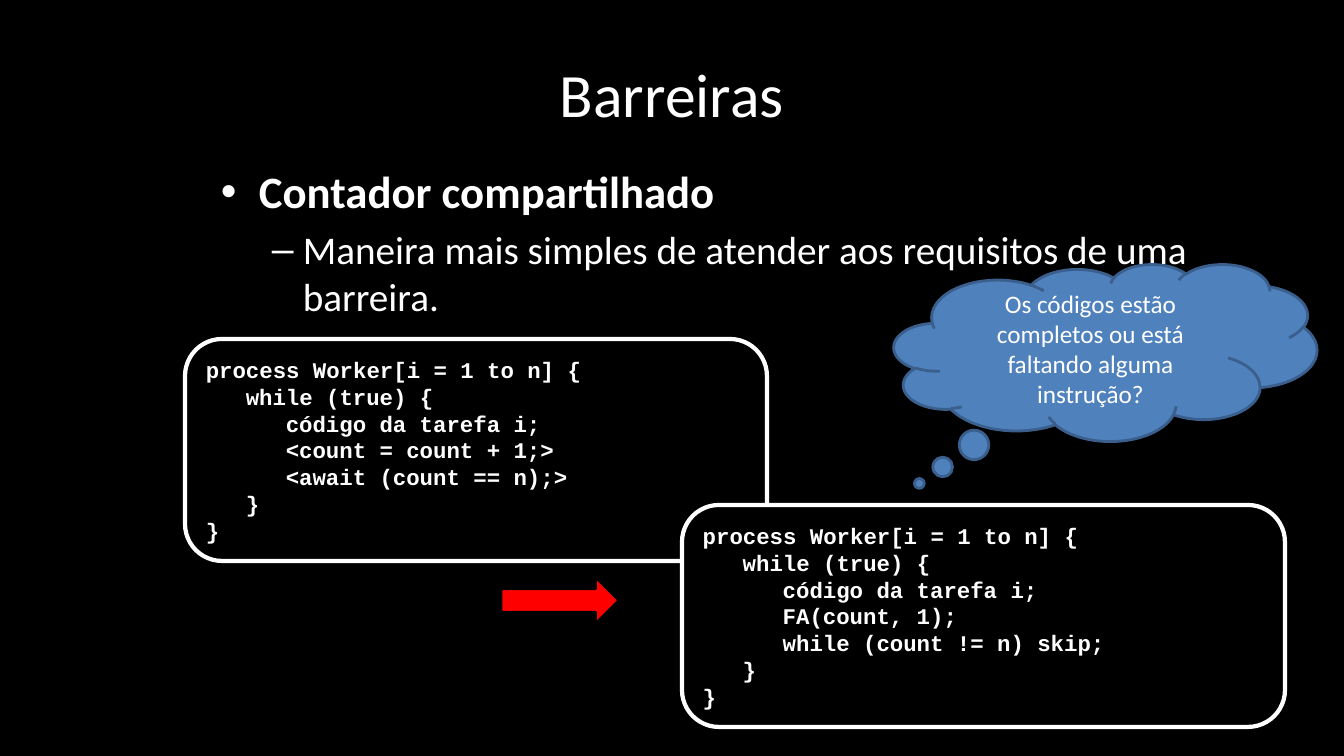
from dataclasses import dataclass

from lxml.etree import SubElement
from pptx import Presentation
from pptx.dml.color import RGBColor
from pptx.enum.shapes import MSO_SHAPE as Shape
from pptx.enum.text import MSO_ANCHOR as Anchor, MSO_AUTO_SIZE as AutoSize, PP_ALIGN as Align
from pptx.oxml.ns import qn
from pptx.util import Emu, Pt

EMU_PER_PX = 914400 / 100.8


def px(length):
    return Emu(round(length * EMU_PER_PX))


@dataclass(frozen=True)
class Theme:
    background: str = "000000"
    text: str = "FFFFFF"
    arrow: str = "FF0000"
    cloud: str = "4F81BD"
    cloud_edge: str = "3A5F8C"
    body_font: str = "Calibri"
    code_font: str = "Courier New"
    bullet_font: str = "Arial"
    title_size: int = 44
    topic_size: int = 32
    detail_size: int = 28
    remark_size: int = 18
    code_size: int = 16
    code_step: int = 40


class SlideBuilder:
    def __init__(self, slide, theme):
        self.slide = slide
        self.theme = theme
        fill = slide.background.fill
        fill.solid()
        fill.fore_color.rgb = RGBColor.from_string(theme.background)

    def add_text(self, paragraph, text, size, font=None, bold=False):
        run = paragraph.add_run()
        run.text = text
        run.font.size = Pt(size)
        run.font.name = font or self.theme.body_font
        run.font.bold = bold
        run.font.color.rgb = RGBColor.from_string(self.theme.text)

    def indent(self, paragraph, left, first=0):
        properties = paragraph._p.get_or_add_pPr()
        properties.set("marL", str(px(left)))
        properties.set("indent", str(px(first)))
        return properties

    def text_frame(self, *box):
        frame = self.slide.shapes.add_textbox(*map(px, box)).text_frame
        frame.word_wrap = True
        return frame

    def title(self, text, *box):
        frame = self.text_frame(*box)
        frame.vertical_anchor = Anchor.MIDDLE
        heading = frame.paragraphs[0]
        heading.alignment = Align.CENTER
        self.add_text(heading, text, self.theme.title_size)

    def bullets(self, items, *box):
        frame = self.text_frame(*box)
        for index, (text, mark, size, left, hanging, bold) in enumerate(items):
            item = frame.add_paragraph() if index else frame.paragraphs[0]
            item.level = index
            item.space_before = Pt(size * 0.2)
            properties = self.indent(item, left, -hanging)
            SubElement(properties, qn("a:buFont"), typeface=self.theme.bullet_font)
            SubElement(properties, qn("a:buChar"), char=mark)
            self.add_text(item, text, size, bold=bold)

    def shape(self, kind, fill, edge, width, *box):
        shape = self.slide.shapes.add_shape(kind, *map(px, box))
        shape.shadow.inherit = False
        shape.fill.solid()
        shape.fill.fore_color.rgb = RGBColor.from_string(fill)
        shape.line.color.rgb = RGBColor.from_string(edge)
        shape.line.width = Pt(width)
        shape.text_frame.word_wrap = True
        shape.text_frame.vertical_anchor = Anchor.MIDDLE
        return shape

    def code(self, lines, *box):
        theme = self.theme
        frame = self.shape(Shape.ROUNDED_RECTANGLE, theme.background, theme.text, 3, *box).text_frame
        frame.auto_size = AutoSize.SHAPE_TO_FIT_TEXT
        for index, (depth, text) in enumerate(lines):
            line = frame.add_paragraph() if index else frame.paragraphs[0]
            line.alignment = Align.LEFT
            self.indent(line, depth * theme.code_step)
            self.add_text(line, text, theme.code_size, theme.code_font, True)

    def arrow(self, *box):
        self.shape(Shape.RIGHT_ARROW, self.theme.arrow, self.theme.background, 2, *box)

    def cloud(self, text, tail, *box):
        theme = self.theme
        callout = self.shape(Shape.CLOUD_CALLOUT, theme.cloud, theme.cloud_edge, 2, *box)
        for index, offset in enumerate(tail):
            callout.adjustments[index] = offset
        remark = callout.text_frame.paragraphs[0]
        remark.alignment = Align.CENTER
        self.add_text(remark, text, theme.remark_size)


def worker(*steps):
    return [
        (0, "process Worker[i = 1 to n] {"),
        (1, "while (true) {"),
        (2, "código da tarefa i;"),
        *((2, step) for step in steps),
        (1, "}"),
        (0, "}"),
    ]


def main():
    deck = Presentation()
    deck.slide_width, deck.slide_height = px(1344), px(756)
    theme = Theme()
    barriers = SlideBuilder(deck.slides.add_slide(deck.slide_layouts[6]), theme)
    barriers.title("Barreiras", 67, 30, 1210, 126)
    barriers.bullets(
        [
            ("Contador compartilhado", "•", theme.topic_size, 38, 38, True),
            ("Maneira mais simples de atender aos requisitos de uma barreira.",
             "–", theme.detail_size, 82, 31, False),
        ],
        211, 159, 1102, 195,
    )
    barriers.code(worker("<count = count + 1;>", "<await (count == n);>"), 185, 339, 582, 222)
    barriers.code(worker("FA(count, 1);", "while (count != n) skip;"), 682, 505, 603, 222)
    barriers.arrow(501, 577, 118, 47)
    barriers.cloud("Os códigos estão completos ou está faltando alguma instrução?",
                   (-0.44, 0.74), 894, 264, 423, 177)
    deck.save("out.pptx")


if __name__ == "__main__":
    main()
